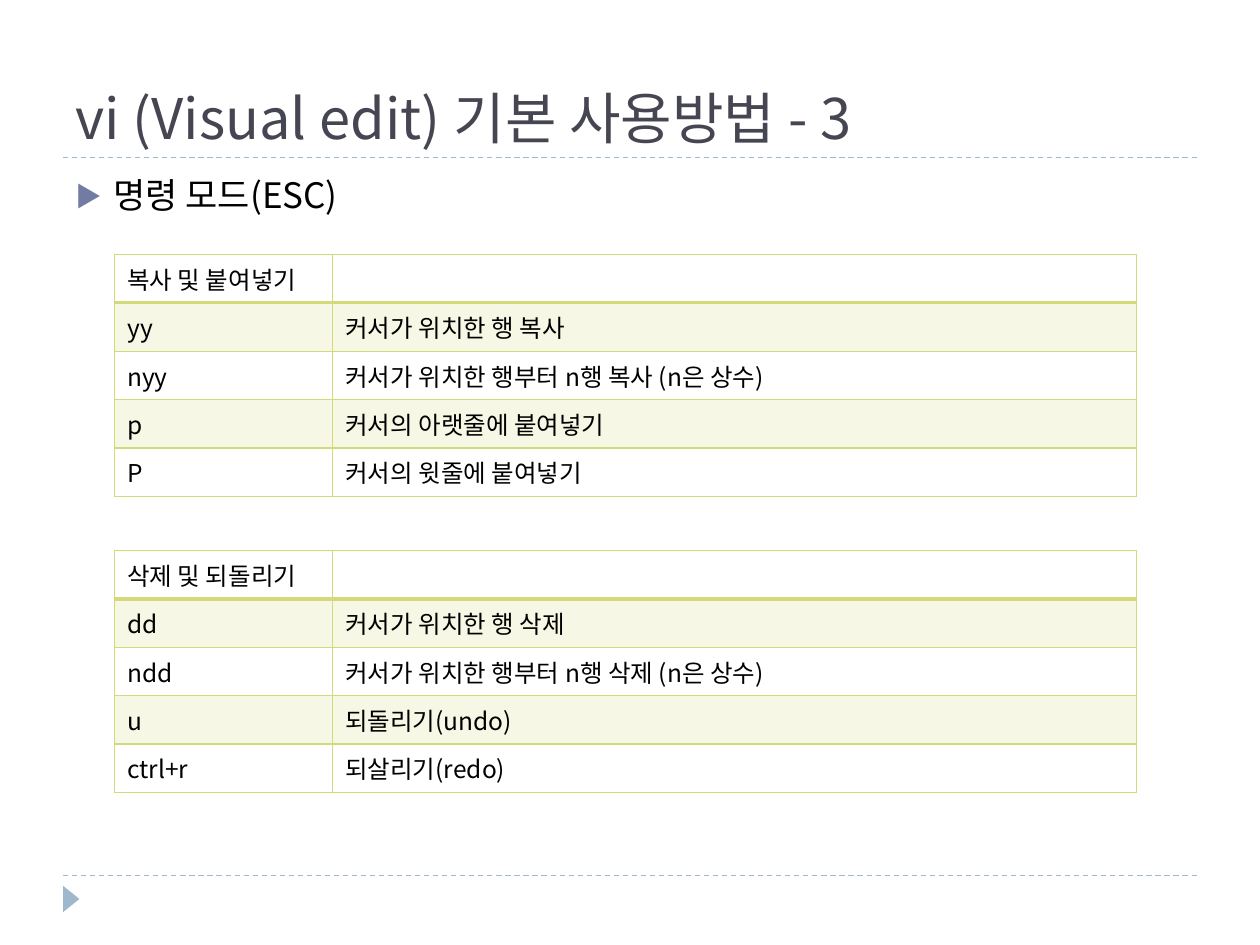
from lxml import etree
from pptx import Presentation
from pptx import util as u
from pptx.dml.color import RGBColor
from pptx.enum import dml, shapes, text
from pptx.oxml.ns import qn

TITLE = "vi (Visual edit) 기본 사용방법 - 3"
HEAD = "명령 모드(ESC)"
TABLES = [
    (2.02, [
        ("복사 및 붙여넣기", ""),
        ("yy", "커서가 위치한 행 복사"),
        ("nyy", "커서가 위치한 행부터 n행 복사 (n은 상수)"),
        ("p", "커서의 아랫줄에 붙여넣기"),
        ("P", "커서의 윗줄에 붙여넣기"),
    ]),
    (4.37, [
        ("삭제 및 되돌리기", ""),
        ("dd", "커서가 위치한 행 삭제"),
        ("ndd", "커서가 위치한 행부터 n행 삭제 (n은 상수)"),
        ("u", "되돌리기(undo)"),
        ("ctrl+r", "되살리기(redo)"),
    ]),
]
COLS = (1.73, 6.38)
LEFT, ROW = 0.91, 0.33
MARGIN, WIDE = 0.5, 9
FONT = "Noto Sans CJK KR"
BLACK, DARK, BLUE, BULLET, LIME = "000000", "464653", "9FB8CD", "727CA3", "D2DA7A"


def paint(fmt, color):
    fmt.solid()
    fmt.fore_color.rgb = RGBColor.from_string(color)


def node(parent, tag, **attrs):
    return etree.SubElement(parent, qn("a:" + tag), attrs)


def write(para, words, size, color):
    run = para.add_run()
    run.text = words
    run.font.size = u.Pt(size)
    run.font.name = FONT
    paint(run.font.fill, color)
    node(run.font._element, "ea", typeface=FONT)


def place(shape, *box):
    shape.left, shape.top, shape.width, shape.height = map(u.Inches, box)


def rule(y):
    line = slide.shapes.add_connector(
        shapes.MSO_CONNECTOR.STRAIGHT, u.Inches(MARGIN), u.Inches(y),
        u.Inches(MARGIN + WIDE), u.Inches(y))
    paint(line.line.fill, BLUE)
    line.line.width = u.Pt(0.75)
    line.line.dash_style = dml.MSO_LINE.DASH
    node(line._element.spPr, "effectLst")


def border(cell, row):
    props = cell._tc.get_or_add_tcPr()
    for side in "LRTB":
        thick = (row, side) in ((0, "B"), (1, "T"))
        edge = node(props, "ln" + side, w=str(u.Pt(2 if thick else 1)))
        node(node(edge, "solidFill"), "srgbClr", val=LIME)


def grid(top, rows):
    table = slide.shapes.add_table(
        len(rows), len(COLS), u.Inches(LEFT), u.Inches(top),
        u.Inches(sum(COLS)), u.Inches(ROW * len(rows))).table
    table.first_row = table.horz_banding = False
    for col, width in zip(table.columns, COLS):
        col.width = u.Inches(width)
    for r, row in enumerate(rows):
        table.rows[r].height = u.Inches(ROW)
        for c, words in enumerate(row):
            cell = table.cell(r, c)
            border(cell, r)
            if r % 2:
                paint(cell.fill, LIME)
                tint = cell._tc.tcPr.find(qn("a:solidFill"))[0]
                node(tint, "alpha", val="20000")
            else:
                cell.fill.background()
            para = cell.text_frame.paragraphs[0]
            if words:
                write(para, words, 14, BLACK)
            else:
                para.font.size = u.Pt(14)


deck = Presentation()
deck.slide_width, deck.slide_height = u.Inches(10), u.Inches(7.5)
slide = deck.slides.add_slide(deck.slide_layouts[1])

for y in (6.95, 1.25):
    rule(y)
mark = slide.shapes.add_shape(
    shapes.MSO_SHAPE.ISOSCELES_TRIANGLE,
    *map(u.Inches, (0.46, 7.07, 0.21, 0.13)))
mark.rotation = 90
mark.shadow.inherit = False
paint(mark.fill, BLUE)
mark.line.fill.background()

title, body = slide.placeholders
for holder, top, height, anchor, words, size, color in (
        (title, 0.17, 1.08, text.MSO_ANCHOR.BOTTOM, TITLE, 32, DARK),
        (body, 1.33, 5.4, text.MSO_ANCHOR.TOP, HEAD, 20, BLACK)):
    place(holder, MARGIN, top, WIDE, height)
    frame = holder.text_frame
    frame.auto_size = text.MSO_AUTO_SIZE.NONE
    frame.vertical_anchor = anchor
    frame.paragraphs[0].alignment = text.PP_ALIGN.LEFT
    write(frame.paragraphs[0], words, size, color)

item = body.text_frame.paragraphs[0]
item.space_before = u.Pt(6)
props = item._p.get_or_add_pPr()
props.set("marL", str(u.Inches(0.3)))
props.set("indent", str(u.Inches(-0.3)))
node(node(props, "buClr"), "srgbClr", val=BULLET)
node(props, "buSzPct", val="76000")
node(props, "buFont", typeface=FONT)
node(props, "buChar", char="▶")

for top, rows in TABLES:
    grid(top, rows)

deck.save("out.pptx")
